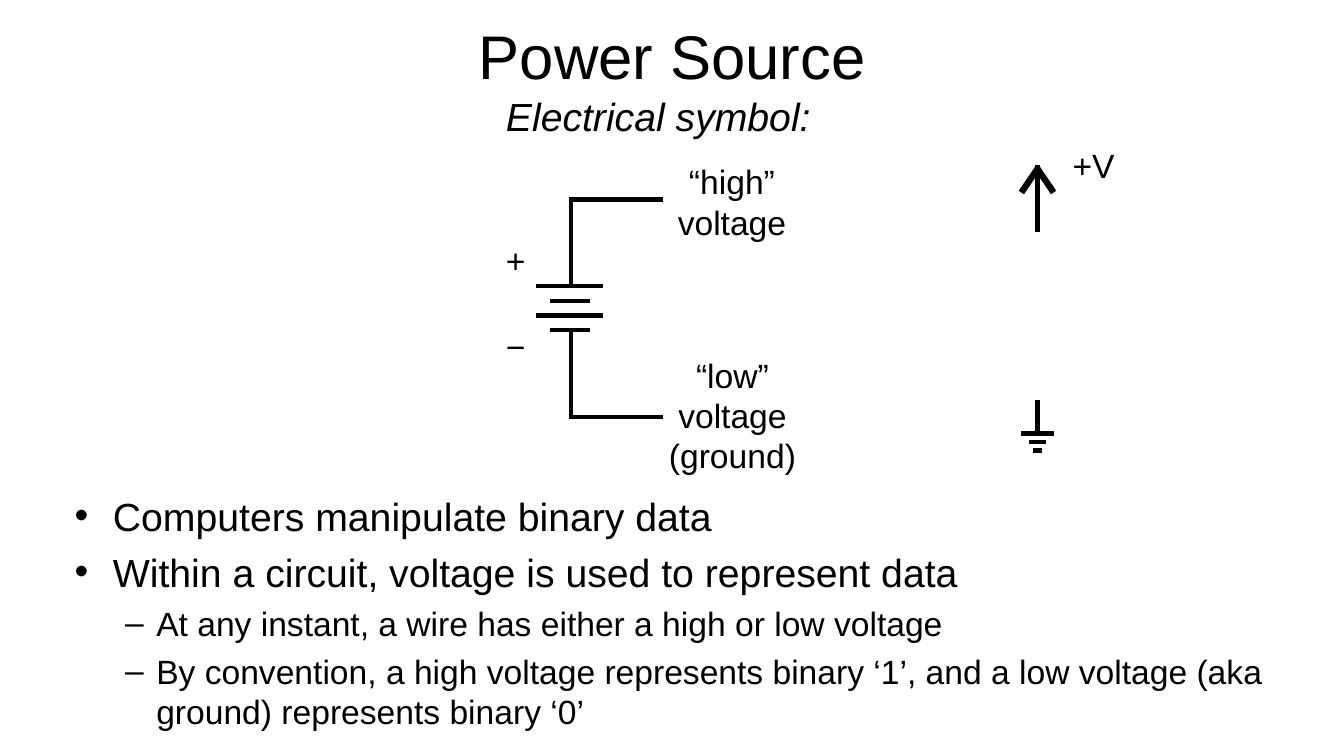
from dataclasses import dataclass
from lxml.etree import SubElement
from pptx import Presentation
from pptx.dml.color import RGBColor
from pptx.enum.shapes import MSO_CONNECTOR as Connector
from pptx.enum.text import MSO_ANCHOR as Anchor, MSO_AUTO_SIZE as AutoSize, PP_ALIGN as Align
from pptx.oxml.ns import qn
from pptx.util import Inches, Pt


@dataclass(frozen=True)
class Theme:
    """Colours, font, type sizes and line widths of the slide."""
    ink: RGBColor = RGBColor(0, 0, 0)
    paper: RGBColor = RGBColor(255, 255, 255)
    font: str = "Arial"
    title: int = 44
    body: int = 28
    label: int = 24
    wire: float = 3
    arrow: float = 4.5


THEME = Theme()
POINTS = [
    (0, "Computers manipulate binary data"),
    (0, "Within a circuit, voltage is used to represent data"),
    (1, "At any instant, a wire has either a high or low voltage"),
    (1, "By convention, a high voltage represents binary ‘1’, "
        "and a low voltage (aka ground) represents binary ‘0’"),
]
BULLETS = [("•", 0.38, -0.38, THEME.body, 6.4), ("–", 0.81, -0.31, THEME.label, 5.5)]


def place(shape, left, top, width, height):
    """Move and size a shape, in inches."""
    shape.left, shape.top = Inches(left), Inches(top)
    shape.width, shape.height = Inches(width), Inches(height)


def write(para, text, size=THEME.label, align=Align.LEFT, italic=False, before=0):
    """Put formatted text in a paragraph."""
    para.alignment = align
    para.space_before = Pt(before)
    span = para.add_run()
    span.text = text
    font = span.font
    font.name, font.size, font.italic = THEME.font, Pt(size), italic
    font.color.rgb = THEME.ink


def label(shapes, lines, left, top, width, height, wrap=False, **form):
    """Add a text box with one paragraph for each line."""
    box = shapes.add_textbox(Inches(left), Inches(top), Inches(width), Inches(height))
    frame = box.text_frame
    frame.word_wrap = wrap
    frame.auto_size = AutoSize.NONE if wrap else AutoSize.SHAPE_TO_FIT_TEXT
    for index, line in enumerate(lines):
        write(frame.add_paragraph() if index else frame.paragraphs[0], line, **form)


def wire(shapes, x1, y1, x2, y2, weight=THEME.wire):
    """Draw a straight wire between two points, in inches."""
    line = shapes.add_connector(Connector.STRAIGHT, Inches(x1), Inches(y1), Inches(x2), Inches(y2))
    line.line.color.rgb = THEME.ink
    line.line.width = Pt(weight)
    SubElement(line._element.spPr, qn("a:effectLst"))


def bars(shapes, middle, top, gap, widths):
    """Stack centred horizontal bars at equal gaps."""
    for index, width in enumerate(widths):
        y = top + index * gap
        wire(shapes, middle - width / 2, y, middle + width / 2, y)


def heading(page, left, top, width, height):
    """Fill the title placeholder."""
    title = page.shapes.title
    place(title, left, top, width, height)
    title.text_frame.vertical_anchor = Anchor.MIDDLE
    title.text_frame.auto_size = AutoSize.NONE
    write(title.text_frame.paragraphs[0], "Power Source", size=THEME.title, align=Align.CENTER)


def bullet_list(page, left, top, width, height):
    """Fill the body placeholder with the two-level list."""
    body = page.placeholders[1]
    place(body, left, top, width, height)
    frame = body.text_frame
    frame.auto_size = AutoSize.NONE
    for index, (level, text) in enumerate(POINTS):
        para = frame.add_paragraph() if index else frame.paragraphs[0]
        sign, margin, indent, size, before = BULLETS[level]
        para.level = level
        properties = para._p.get_or_add_pPr()
        properties.set("marL", str(Inches(margin)))
        properties.set("indent", str(Inches(indent)))
        SubElement(properties, qn("a:buChar")).set("char", sign)
        write(para, text, size=size, before=before if index else 0)


def battery(page, left, top):
    """Draw the battery with its two leads and pole signs."""
    shapes = page.shapes.add_group_shape().shapes
    middle, lead_end = left + 0.74, left + 1.66
    plates, gap, lead = top + 0.86, 0.145, 0.86
    bottom = plates + 3 * gap
    bars(shapes, middle - 0.01, plates, gap, [0.67, 0.4, 0.67, 0.4])
    for start, end in [(plates, top), (bottom, bottom + lead)]:
        wire(shapes, middle, start, middle, end)
        wire(shapes, lead_end, end, middle - 0.02, end)
    for sign, y in [("+", top + 0.35), ("−", top + 1.2)]:
        label(shapes, [sign], left, y, 0.4, 0.5)


def supply_arrow(page, middle, top):
    """Draw the supply arrow and its label."""
    shapes = page.shapes.add_group_shape().shapes
    wire(shapes, middle, top, middle, top + 0.66)
    for side in (-1, 1):
        wire(shapes, middle - side * 0.01, top + 0.02, middle + side * 0.16, top + 0.27, THEME.arrow)
    label(page.shapes, ["+V"], middle + 0.25, top - 0.25, 0.62, 0.5)


def ground(page, middle, top):
    """Draw the ground symbol."""
    shapes = page.shapes.add_group_shape().shapes
    wire(shapes, middle, top, middle, top + 0.33)
    bars(shapes, middle, top + 0.33, 0.085, [0.33, 0.17, 0.09])


def main():
    """Build and save the slide."""
    deck = Presentation()
    deck.slide_width, deck.slide_height = Inches(13.33), Inches(7.5)
    page = deck.slides.add_slide(deck.slide_layouts[1])
    page.background.fill.solid()
    page.background.fill.fore_color.rgb = THEME.paper
    heading(page, 2.42, -0.08, 8.5, 1.25)
    bullet_list(page, 0.64, 4.83, 12, 2.54)
    battery(page, 4.92, 1.98)
    label(page.shapes, ["“high”", "voltage"], 6.61, 1.55, 1.3, 0.91, align=Align.CENTER)
    label(page.shapes, ["“low”", "voltage", "(ground)"], 6.5, 3.47, 1.53, 1.31, align=Align.CENTER)
    supply_arrow(page, 10.29, 1.64)
    ground(page, 10.29, 3.97)
    label(page.shapes, ["Electrical symbol:"], 4.92, 0.87, 3.58, 0.54,
          wrap=True, size=THEME.body, italic=True)
    deck.save("out.pptx")


if __name__ == "__main__":
    main()
